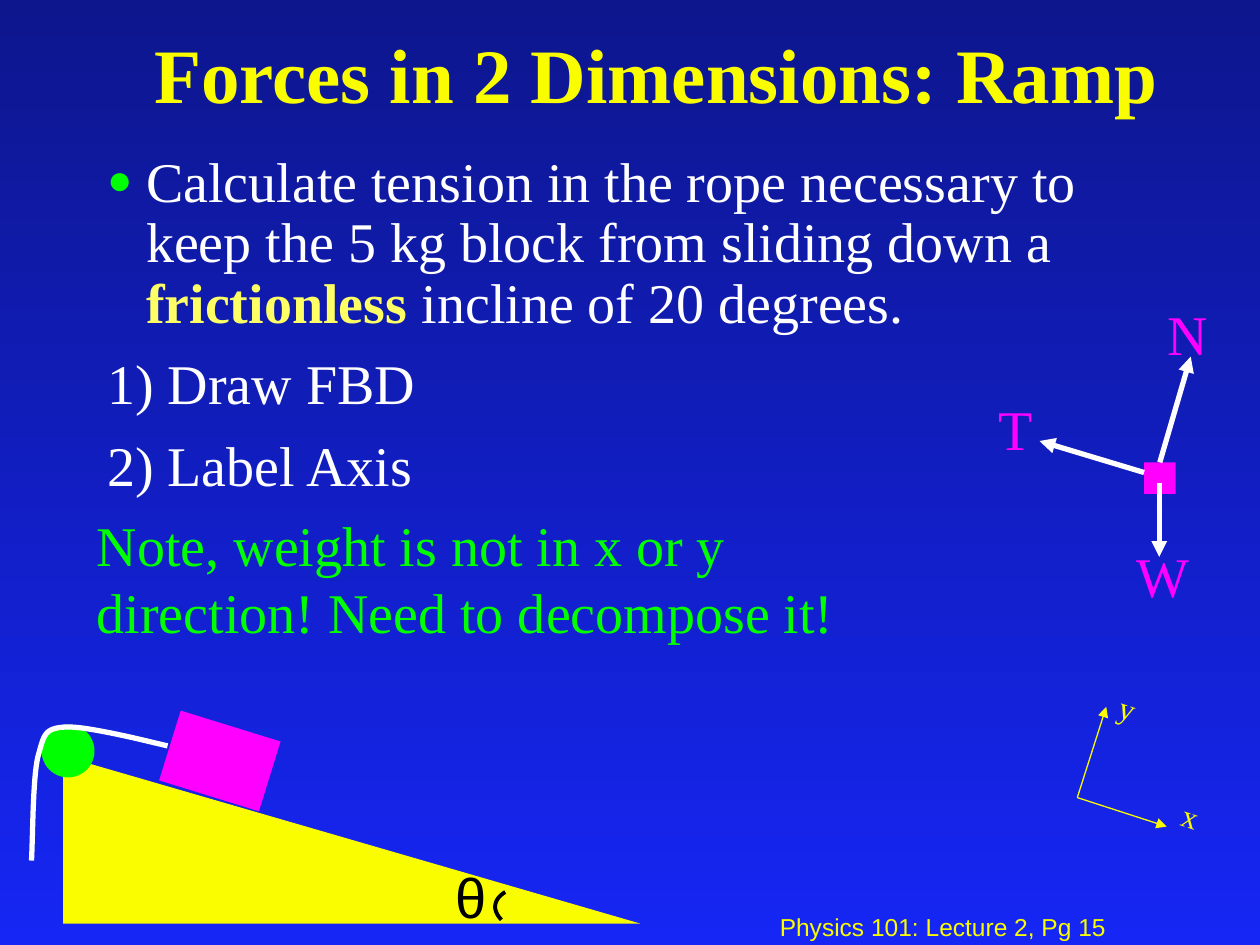
from lxml import etree
from pptx import Presentation
from pptx.dml.color import RGBColor
from pptx.enum.shapes import MSO_CONNECTOR, MSO_SHAPE
from pptx.enum.text import MSO_ANCHOR, MSO_AUTO_SIZE, PP_ALIGN
from pptx.oxml.ns import qn
from pptx.util import Inches, Pt

STRAIGHT = MSO_CONNECTOR.STRAIGHT
RECT, OVAL, RAMP = MSO_SHAPE.RECTANGLE, MSO_SHAPE.OVAL, MSO_SHAPE.RIGHT_TRIANGLE
CENTER, LEFT = PP_ALIGN.CENTER, PP_ALIGN.LEFT
TOP, MIDDLE = MSO_ANCHOR.TOP, MSO_ANCHOR.MIDDLE

NAVY = RGBColor(0x0D, 0x16, 0x8D)
BLUE = RGBColor(0x16, 0x26, 0xF4)
YELLOW = RGBColor(0xFA, 0xFD, 0x00)
PALE = RGBColor(0xFD, 0xFF, 0x65)
GREEN = RGBColor(0x00, 0xFF, 0x00)
PINK = RGBColor(0xFF, 0x00, 0xFF)
WHITE = RGBColor(0xFF, 0xFF, 0xFF)
BLACK = RGBColor(0x00, 0x00, 0x00)

SERIF, SANS = "Times New Roman", "Arial"
HANG = Inches(0.31)


def style(font, color, size=32, name=SERIF, bold=False):
    form = {"size": Pt(size), "name": name, "bold": bold}
    for key, value in form.items():
        setattr(font, key, value)
    font.color.rgb = color


def place(shape, box):
    for key, value in zip(("left", "top", "width", "height"), box):
        setattr(shape, key, Inches(value))


def set_list(para, dot=False):
    """Hanging indent, with a green dot or no mark."""
    props = para._p.get_or_add_pPr()
    props.set("marL", str(HANG))
    props.set("indent", str(-HANG))
    if not dot:
        etree.SubElement(props, qn("a:buNone"))
        return
    tint = etree.SubElement(props, qn("a:buClr"))
    etree.SubElement(tint, qn("a:srgbClr"), val=str(GREEN))
    etree.SubElement(props, qn("a:buSzPct"), val="75000")
    etree.SubElement(props, qn("a:buFont"), typeface=SERIF)
    etree.SubElement(props, qn("a:buChar"), char="●")


def set_frame(holder, box, anchor):
    place(holder, box)
    frame = holder.text_frame
    frame.word_wrap = True
    frame.auto_size = MSO_AUTO_SIZE.NONE
    frame.vertical_anchor = anchor
    return frame


def add_title(slide, text):
    frame = set_frame(slide.shapes.title, (0.75, 0, 8.92, 1.25), MIDDLE)
    frame.text = text
    para = frame.paragraphs[0]
    para.alignment, para.line_spacing = CENTER, 0.9
    style(para.runs[0].font, YELLOW, 44, bold=True)


def add_body(slide, rows):
    """Each row is a list of (text, is key word) runs; the first has a dot."""
    frame = set_frame(slide.placeholders[1], (0.75, 1.17, 8.5, 5.5), TOP)
    for num, row in enumerate(rows):
        para = frame.add_paragraph() if num else frame.paragraphs[0]
        para.alignment, para.line_spacing = LEFT, 0.9
        para.space_before = Pt(12 if num else 0)
        set_list(para, dot=num == 0)
        for text, key in row:
            run = para.add_run()
            run.text = text
            style(run.font, PALE if key else WHITE, bold=key)


def add_label(slide, text, box, color, size=32, name=SERIF, turn=0, wrap=True):
    label = slide.shapes.add_textbox(*map(Inches, box))
    label.rotation = turn
    frame = label.text_frame
    frame.word_wrap = wrap
    frame.text = text
    style(frame.paragraphs[0].runs[0].font, color, size, name)


def add_solid(slide, kind, box, color, turn=0):
    solid = slide.shapes.add_shape(kind, *map(Inches, box))
    solid.shadow.inherit = False
    solid.rotation = turn
    solid.fill.solid()
    solid.fill.fore_color.rgb = color
    solid.line.fill.background()
    return solid


def add_arrow(slide, start, end, color, width):
    arrow = slide.shapes.add_connector(STRAIGHT, *map(Inches, start + end))
    arrow.line.color.rgb = color
    arrow.line.width = Pt(width)
    etree.SubElement(arrow.line._get_or_add_ln(), qn("a:tailEnd"), type="triangle")
    etree.SubElement(arrow._element.spPr, qn("a:effectLst"))
    return arrow


def add_curve(slide, knots, color, width, steps=16):
    """Draw joined cubic curves: a start, then three points per curve."""
    dots = []
    for i in range(0, len(knots) - 1, 3):
        for step in range(1, steps + 1):
            t = step / steps
            s = 1 - t
            parts = (s ** 3, 3 * s * s * t, 3 * s * t * t, t ** 3)
            dots.append(tuple(
                Inches(sum(p * knot[axis] for p, knot in zip(parts, knots[i:i + 4])))
                for axis in (0, 1)))
    pen = slide.shapes.build_freeform(*map(Inches, knots[0]))
    pen.add_line_segments(dots, close=False)
    curve = pen.convert_to_shape()
    curve.shadow.inherit = False
    curve.fill.background()
    curve.line.color.rgb = color
    curve.line.width = Pt(width)


def add_ramp(slide):
    add_solid(slide, RAMP, (0.5, 6, 4.58, 1.33), YELLOW)
    add_solid(slide, RECT, (1.33, 5.75, 0.83, 0.58), PINK, 17.2)
    add_solid(slide, OVAL, (0.33, 5.75, 0.42, 0.42), GREEN)
    # Rope over the pulley
    add_curve(slide, [(1.33, 5.92), (1.2, 5.89), (0.69, 5.76), (0.52, 5.77),
                      (0.35, 5.78), (0.35, 5.83), (0.3, 6.01),
                      (0.26, 6.18), (0.26, 6.66), (0.25, 6.83)], WHITE, 3)
    # Angle mark
    add_curve(slide, [(3.98, 7.3), (3.95, 7.27), (3.93, 7.23), (3.93, 7.2),
                      (3.93, 7.15), (3.96, 7.11), (4.01, 7.08)], BLACK, 2.25)
    add_label(slide, "θ", (3.52, 6.8, 0.75, 0.64), BLACK, name=SANS)


def add_axes(slide):
    root = (8.55, 6.33)
    for name, tip, spot in (("y", (8.78, 5.61), (8.79, 5.42)),
                            ("x", (9.26, 6.56), (9.29, 6.28))):
        add_arrow(slide, root, tip, YELLOW, 0.75)
        add_label(slide, name, spot + (0.33, 0.4), YELLOW, 18, turn=18)


def add_forces(slide):
    block = add_solid(slide, RECT, (9.08, 3.67, 0.25, 0.25), PINK)
    for name, start, tip, spot in (
            ("T", (9.08, 3.75), (8.25, 3.5), (7.83, 3.08)),
            ("N", (9.2, 3.67), (9.45, 2.83), (9.17, 2.33)),
            ("W", (9.2, 3.83), (9.2, 4.42), (8.92, 4.25))):
        arrow = add_arrow(slide, start, tip, WHITE, 3)
        if name == "N":
            arrow.begin_connect(block, 0)
        add_label(slide, name, spot + (0.67, 0.64), PINK)


def main():
    deck = Presentation()
    deck.slide_width, deck.slide_height = Inches(10), Inches(7.5)
    slide = deck.slides.add_slide(deck.slide_layouts[1])

    # Background, dark at the top
    fill = slide.background.fill
    fill.gradient()
    fill.gradient_angle = 270
    for stop, color in zip(fill.gradient_stops, (NAVY, BLUE)):
        stop.color.rgb = color

    # Text
    add_title(slide, "Forces in 2 Dimensions: Ramp")
    add_body(slide, [
        [("Calculate tension in the rope necessary to keep the 5 kg block "
          "from sliding down a ", False),
         ("frictionless", True), (" incline of 20 degrees.", False)],
        [("1) Draw FBD", False)],
        [("2) Label Axis", False)]])
    add_label(slide, "Note, weight is not in x or y direction! Need to decompose it!",
              (0.67, 4, 6.83, 1.17), GREEN)
    add_label(slide, "Physics 101: Lecture 2, Pg 15", (6.09, 7.19, 4.09, 0.31),
              YELLOW, 14, SANS, wrap=False)

    # Drawings
    add_ramp(slide)
    add_forces(slide)
    add_axes(slide)
    deck.save("out.pptx")


if __name__ == "__main__":
    main()
